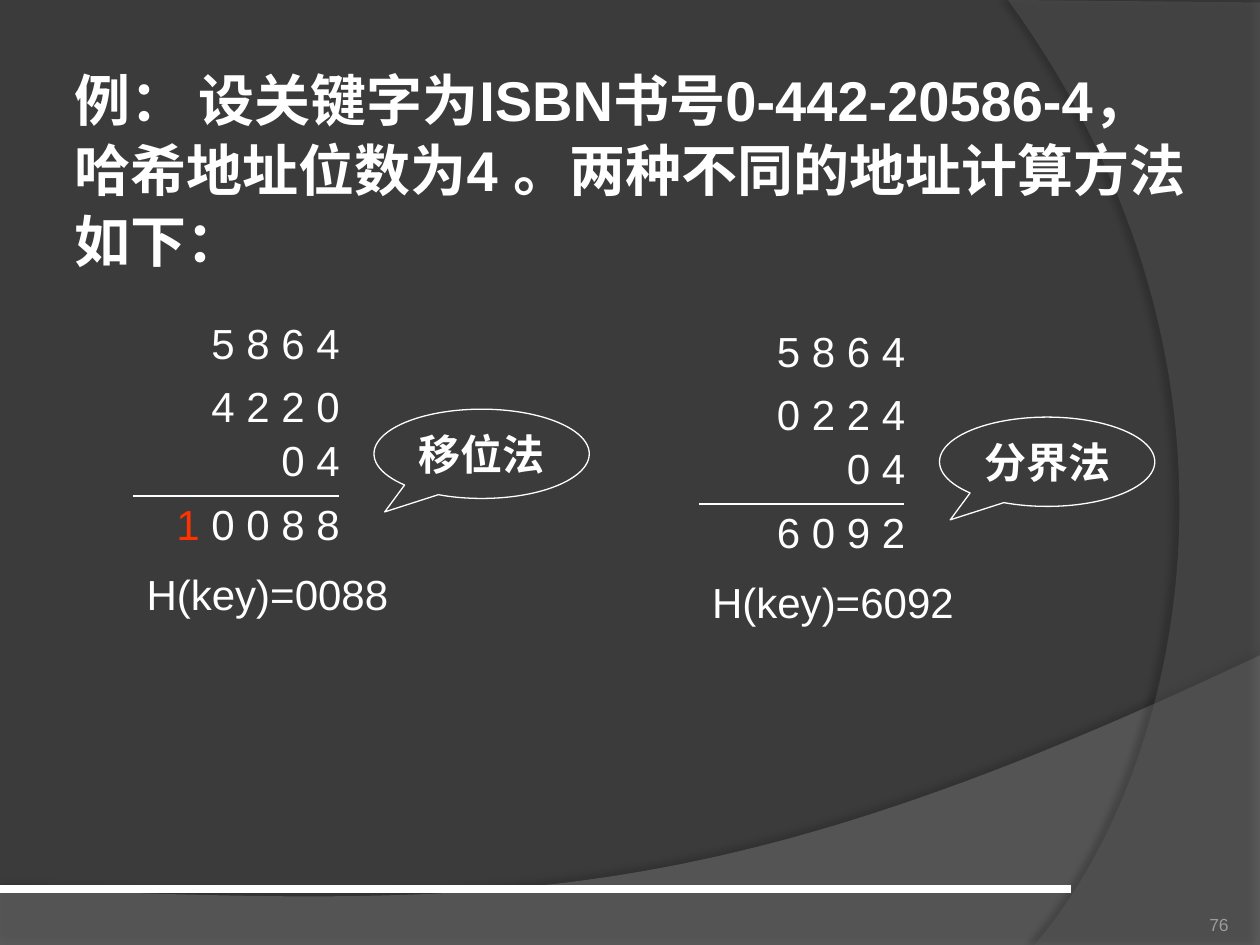
from lxml import etree
from pptx import Presentation
from pptx.dml.color import RGBColor
from pptx.enum.shapes import MSO_CONNECTOR, MSO_SHAPE
from pptx.enum.text import MSO_ANCHOR as ANCHOR, MSO_AUTO_SIZE as AUTO, PP_ALIGN as ALIGN
from pptx.oxml.ns import qn
from pptx.util import Cm, Pt

COLORS = {
    "background": "3B3B3B", "wave": "7F7F7F", "arc": "5E5E5E",
    "text": "FFFFFF", "carry": "FF3300", "number": "9D9B9A", "shadow": "000000",
}
LATIN, CJK = "Arial", "Noto Sans CJK SC"
INTRO = ("例： 设关键字为ISBN书号0-442-20586-4，哈希地址位数为4 ",
         "。两种不同的地址计算方法如下：")

# Each method: x and y offset, operands, carry, sum, hash, name
METHODS = [
    (0, 0, ["5 8 6 4", "4 2 2 0", "0 4"], "1", " 0 0 8 8", "H(key)=0088", "移位法"),
    (11.4, 0.16, ["5 8 6 4", "0 2 2 4", "0 4"], "", "6 0 9 2", "H(key)=6092", "分界法"),
]
OPERAND_TOPS = [6.27, 7.54, 8.64]


def rgb(name):
    return RGBColor.from_string(COLORS[name])


def style_run(run, size=24, color="text", bold=False, latin=LATIN):
    run.font.size, run.font.bold, run.font.name = Pt(size), bold, latin
    run.font.color.rgb = rgb(color)
    east_asian = etree.SubElement(run._r.get_or_add_rPr(), qn("a:ea"))
    east_asian.set("typeface", CJK)


def add_label(slide, left, top, width, height, pieces, align, size=24):
    """Add a one-line text box; pieces are (text, colour) pairs."""
    label = slide.shapes.add_textbox(Cm(left), Cm(top), Cm(width), Cm(height))
    label.text_frame.word_wrap = False
    line = label.text_frame.paragraphs[0]
    line.alignment = align
    for text, color in pieces:
        run = line.add_run()
        run.text = text
        style_run(run, size, color)
    return label


def add_rule(slide, left, right, y, weight):
    rule = slide.shapes.add_connector(MSO_CONNECTOR.STRAIGHT, Cm(left), Cm(y), Cm(right), Cm(y))
    rule.line.color.rgb, rule.line.width = rgb("text"), Pt(weight)
    etree.SubElement(rule._element.spPr, qn("a:effectLst"))


def bezier(p0, p1, p2, p3, steps=60):
    """Points on a cubic curve, without its start."""
    for step in range(1, steps + 1):
        t = step / steps
        weights = ((1 - t) ** 3, 3 * t * (1 - t) ** 2, 3 * t * t * (1 - t), t ** 3)
        yield tuple(sum(w * p[axis] for w, p in zip(weights, (p0, p1, p2, p3)))
                    for axis in (0, 1))


def add_swoosh(slide, corners, curve, color, alpha, shadow):
    """Add a translucent backdrop of straight corners closed by one curve."""
    points = [(Cm(x), Cm(y)) for x, y in [*corners, *bezier(*curve)]]
    builder = slide.shapes.build_freeform(*points[0])
    builder.add_line_segments(points[1:], close=True)
    swoosh = builder.convert_to_shape()
    swoosh.fill.solid()
    swoosh.fill.fore_color.rgb = rgb(color)
    swoosh.line.fill.background()
    swoosh.shadow.inherit = False
    fill = swoosh._element.spPr.find(qn("a:solidFill"))[0]
    etree.SubElement(fill, qn("a:alpha")).set("val", str(alpha * 1000))

    distance, direction, opacity = shadow
    effects = swoosh._element.spPr.find(qn("a:effectLst"))
    outer = etree.SubElement(effects, qn("a:outerShdw"), blurRad=str(Pt(4)),
                             dist=str(Pt(distance)), dir=str(direction * 60000))
    shade = etree.SubElement(outer, qn("a:srgbClr"), val=COLORS["shadow"])
    etree.SubElement(shade, qn("a:alpha"), val=str(opacity * 1000))


def add_callout(slide, left, top, text):
    callout = slide.shapes.add_shape(MSO_SHAPE.OVAL_CALLOUT, Cm(left), Cm(top), Cm(4.34), Cm(1.8))
    callout.adjustments[0], callout.adjustments[1] = -0.45, 0.65
    callout.fill.background()
    callout.line.color.rgb, callout.line.width = rgb("text"), Pt(0.75)
    callout.shadow.inherit = False
    frame = callout.text_frame
    frame.text, frame.word_wrap = text, False
    frame.vertical_anchor = ANCHOR.MIDDLE
    frame.paragraphs[0].alignment = ALIGN.CENTER
    style_run(frame.paragraphs[0].runs[0], bold=True)


def add_method(slide, dx, dy, operands, carry, total, hashed, name):
    """Add one column sum with its result and method name."""
    def add_number(top, pieces):
        add_label(slide, 3.2 + dx, top + dy, 3.9, 1.27, pieces, ALIGN.RIGHT)

    for top, operand in zip(OPERAND_TOPS, operands):
        add_number(top, [(operand, "text")])
    add_rule(slide, 2.69 + dx, 6.83 + dx, 10 + dy, 0.75)
    add_number(9.93, [(carry, "carry"), (total, "text")] if carry else [(total, "text")])
    add_label(slide, 2.67 + dx, 11.33 + dy, 5.44, 1.27, [(hashed, "text")], ALIGN.CENTER)
    add_callout(slide, 7.54 + dx, 8.25 + dy, name)


def add_intro(slide):
    intro = slide.shapes.title
    intro.left, intro.top, intro.width, intro.height = Cm(1.24), Cm(1.12), Cm(23.11), Cm(16.3)
    frame = intro.text_frame
    frame.word_wrap, frame.auto_size, frame.vertical_anchor = True, AUTO.NONE, ANCHOR.TOP
    sentence = frame.paragraphs[0]
    sentence.alignment, sentence.line_spacing = ALIGN.LEFT, 1.05
    sentence.space_before = Pt(6.4)
    for text, latin in zip(INTRO, (LATIN, CJK)):
        run = sentence.add_run()
        run.text = text
        style_run(run, 32, bold=True, latin=latin)
    # Keep the text in front of the backdrop
    intro._element.getparent().append(intro._element)


def main():
    deck = Presentation()
    deck.slide_width, deck.slide_height = Cm(25.4), Cm(19.05)
    slide = deck.slides.add_slide(deck.slide_layouts[5])
    slide.background.fill.solid()
    slide.background.fill.fore_color.rgb = rgb("background")

    # Backdrop
    add_swoosh(slide, [(0, 17.91), (0, 19.05), (25.4, 19.05), (25.4, 13.21)],
               [(25.4, 13.21), (14.2, 18.52), (9.93, 18.26), (0, 17.91)],
               "wave", 45, (3.5, 270, 35))
    add_swoosh(slide, [(25.4, 0.05), (25.4, 19.05), (20.85, 19.05)],
               [(20.85, 19.05), (23.75, 15.72), (25.86, 7.62), (20.32, 0)],
               "arc", 40, (4, 180, 45))
    add_rule(slide, 0, 21.59, 17.93, 4.5)

    # Slide number
    number = add_label(slide, 22.66, 17.83, 2.11, 1.02, [("76", "number")], ALIGN.RIGHT, 10)
    frame = number.text_frame
    frame.vertical_anchor = ANCHOR.BOTTOM
    frame.margin_left = frame.margin_right = frame.margin_top = frame.margin_bottom = 0

    # Two folding methods and the example
    for method in METHODS:
        add_method(slide, *method)
    add_intro(slide)
    deck.save("out.pptx")


if __name__ == "__main__":
    main()
